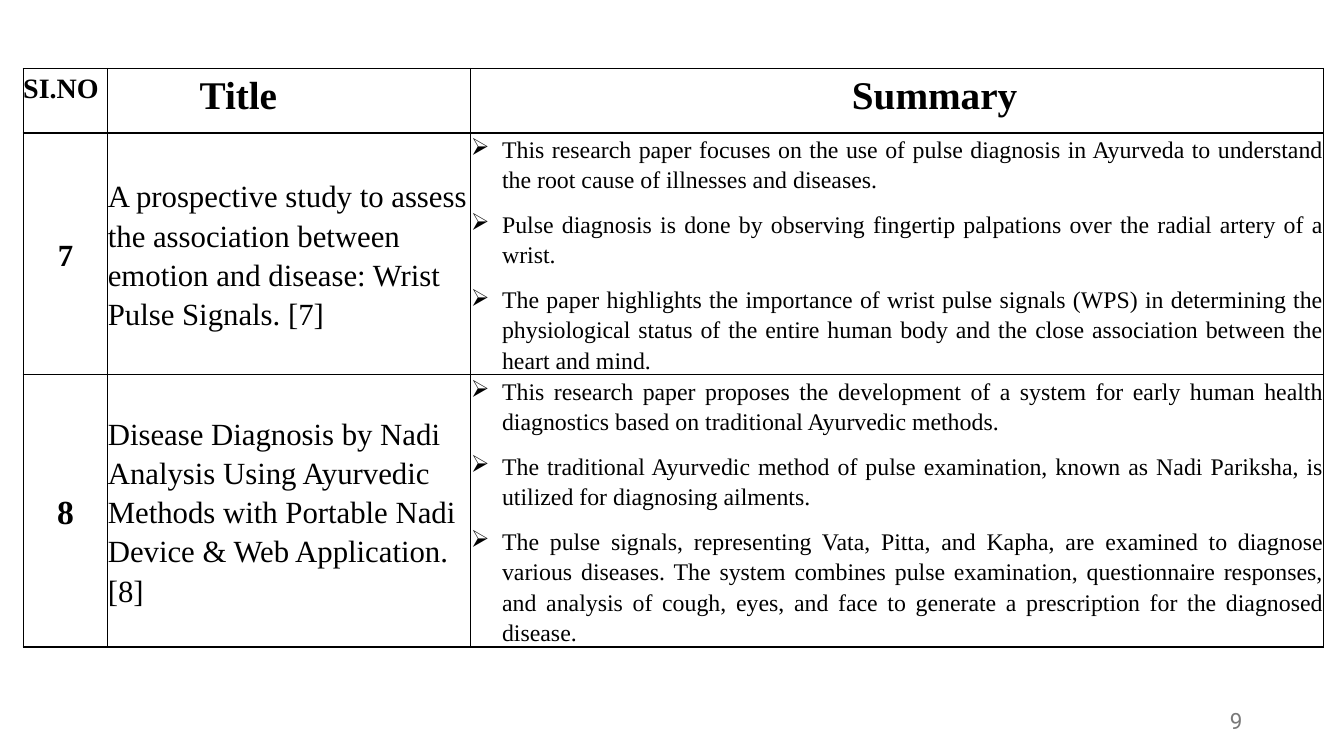
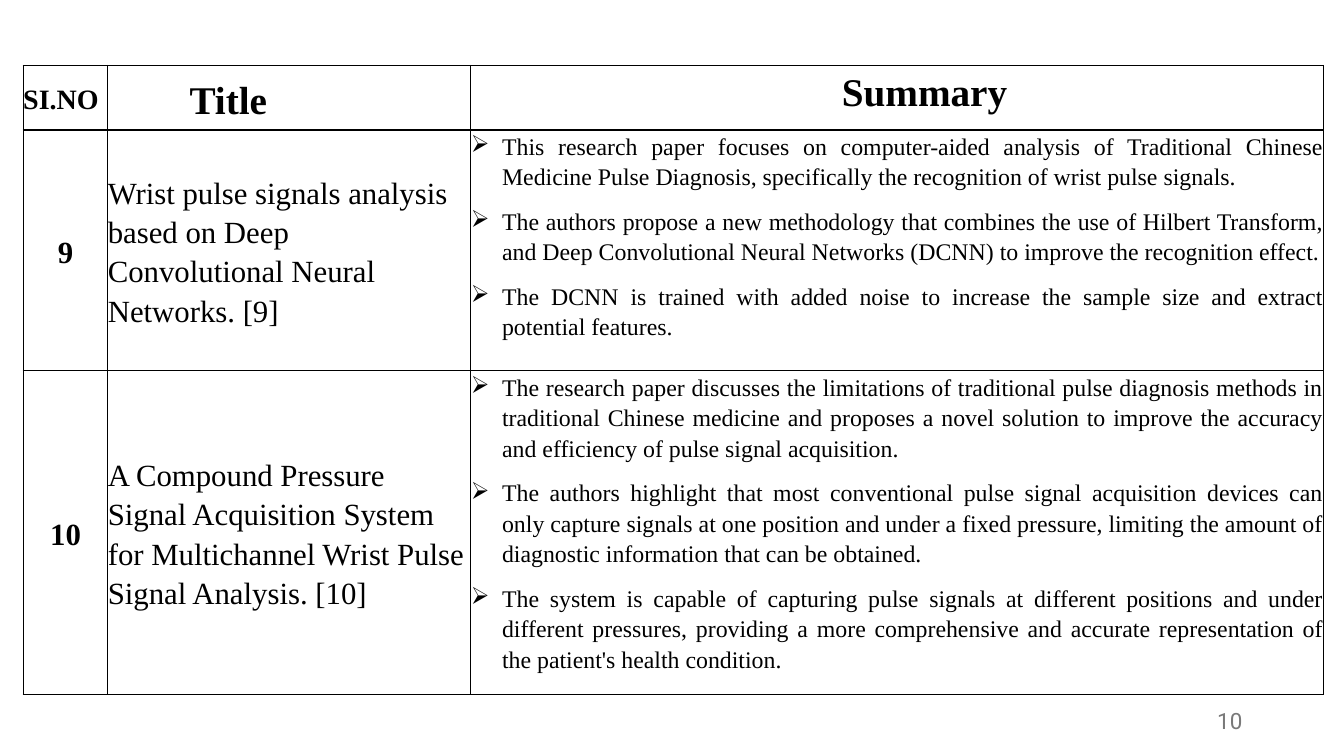
from lxml import etree
from pptx import Presentation
from pptx.dml.color import RGBColor
from pptx.enum.text import MSO_ANCHOR as ANCHOR, PP_ALIGN as ALIGN
from pptx.oxml.ns import qn
from pptx.util import Inches, Pt

# Shared style
FONT, NUMBER_FONT = "Times New Roman", "Roboto"
BLACK, WHITE, GREY = "000000", "FFFFFF", "797979"
TABLE_LEFT = 0.23
COL_WIDTHS = [0.84, 3.6, 8.46]
HEADINGS = [("SI.NO", 20), ("Title", 28), ("Summary", 28)]
BULLET_INDENT = 0.31

# Content: one entry a slide; each paper is number, number size, title, summary
SLIDES = [
    {
        "page": "9", "top": 0.68, "row_heights": [0.64, 2.39, 2.68],
        "heading_indents": [0, 0.91, 3.78],
        "heading_anchors": [ANCHOR.TOP, ANCHOR.TOP, ANCHOR.TOP],
        "papers": [
            ("7", 22,
             "A prospective study to assess the association between emotion "
             "and disease: Wrist Pulse Signals. [7]",
             ["This research paper focuses on the use of pulse diagnosis in Ayurveda to "
              "understand the root cause of illnesses and diseases.",
              "Pulse diagnosis is done by observing fingertip palpations over the radial "
              "artery of a wrist.",
              "The paper highlights the importance of wrist pulse signals (WPS) in "
              "determining the physiological status of the entire human body and the "
              "close association between the heart and mind."]),
            ("8", 24,
             "Disease Diagnosis by Nadi Analysis Using Ayurvedic Methods with "
             "Portable Nadi Device & Web Application. [8]",
             ["This research paper proposes the development of a system for early human "
              "health diagnostics based on traditional Ayurvedic methods.",
              "The traditional Ayurvedic method of pulse examination, known as Nadi "
              "Pariksha, is utilized for diagnosing ailments.",
              "The pulse signals, representing Vata, Pitta, and Kapha, are examined to "
              "diagnose various diseases. The system combines pulse examination, "
              "questionnaire responses, and analysis of cough, eyes, and face to generate "
              "a prescription for the diagnosed disease."]),
        ],
    },
    {
        "page": "10", "top": 0.65, "row_heights": [0.64, 2.39, 2.98],
        "heading_indents": [0, 0.81, 3.68],
        "heading_anchors": [ANCHOR.MIDDLE, ANCHOR.MIDDLE, ANCHOR.TOP],
        "papers": [
            ("9", 22,
             "Wrist pulse signals analysis based on Deep Convolutional Neural "
             "Networks. [9]",
             ["This research paper focuses on computer-aided analysis of Traditional "
              "Chinese Medicine Pulse Diagnosis, specifically the recognition of wrist "
              "pulse signals.",
              "The authors propose a new methodology that combines the use of Hilbert "
              "Transform, and Deep Convolutional Neural Networks (DCNN) to improve the "
              "recognition effect.",
              "The DCNN is trained with added noise to increase the sample size and "
              "extract potential features."]),
            ("10", 22,
             "A Compound Pressure Signal Acquisition System for Multichannel Wrist "
             "Pulse Signal Analysis. [10]",
             ["The research paper discusses the limitations of traditional pulse diagnosis "
              "methods in traditional Chinese medicine and proposes a novel solution to "
              "improve the accuracy and efficiency of pulse signal acquisition.",
              "The authors highlight that most conventional pulse signal acquisition "
              "devices can only capture signals at one position and under a fixed "
              "pressure, limiting the amount of diagnostic information that can be "
              "obtained.",
              "The system is capable of capturing pulse signals at different positions "
              "and under different pressures, providing a more comprehensive and accurate "
              "representation of the patient's health condition."]),
        ],
    },
]


def rgb(value):
    return RGBColor.from_string(value)


def style_run(p, size, color=BLACK, font=FONT, bold=False):
    f = p.runs[0].font
    f.size, f.name, f.bold = Pt(size), font, bold
    f.color.rgb = rgb(color)


def add_bullet(p):
    pPr = p._p.get_or_add_pPr()
    pPr.set("marL", str(Inches(BULLET_INDENT)))
    pPr.set("indent", str(-Inches(BULLET_INDENT)))
    etree.SubElement(pPr, qn("a:buChar"), char="➢")


def add_borders(cell):
    tcPr = cell._tc.get_or_add_tcPr()
    for side in ("lnL", "lnR", "lnT", "lnB"):
        ln = etree.SubElement(tcPr, qn(f"a:{side}"), w=str(Pt(1)))
        fill = etree.SubElement(ln, qn("a:solidFill"))
        etree.SubElement(fill, qn("a:srgbClr"), val=BLACK)


def fill_cell(cell, lines, size, align, anchor=ANCHOR.MIDDLE, bold=False,
              indent=0, bullets=False):
    add_borders(cell)
    cell.fill.solid()
    cell.fill.fore_color.rgb = rgb(WHITE)
    cell.margin_left = Inches(indent)
    cell.margin_top = cell.margin_right = cell.margin_bottom = 0
    cell.vertical_anchor = anchor
    tf = cell.text_frame
    tf.text = "\n".join(lines)
    for p in tf.paragraphs:
        p.alignment, p.line_spacing, p.space_after = align, 1.15, Pt(10)
        if bullets:
            add_bullet(p)
        style_run(p, size, bold=bold)


def add_paper_table(slide, content):
    heights = content["row_heights"]
    table = slide.shapes.add_table(
        len(heights), len(COL_WIDTHS), Inches(TABLE_LEFT), Inches(content["top"]),
        Inches(sum(COL_WIDTHS)), Inches(sum(heights))).table
    table.first_row = table.horz_banding = False
    for column, width in zip(table.columns, COL_WIDTHS):
        column.width = Inches(width)
    for row, height in zip(table.rows, heights):
        row.height = Inches(height)

    # Heading row
    headings = zip(HEADINGS, content["heading_indents"], content["heading_anchors"])
    for col, ((text, size), indent, anchor) in enumerate(headings):
        fill_cell(table.cell(0, col), [text], size, ALIGN.LEFT, anchor,
                  bold=True, indent=indent)

    # One row a paper
    for row, (number, size, title, summary) in enumerate(content["papers"], 1):
        fill_cell(table.cell(row, 0), [number], size, ALIGN.CENTER, bold=True)
        fill_cell(table.cell(row, 1), [title], 22, ALIGN.LEFT)
        fill_cell(table.cell(row, 2), summary, 17, ALIGN.JUSTIFY, ANCHOR.TOP,
                  bullets=True)


def add_page_number(slide, number):
    box = slide.shapes.add_textbox(Inches(9.42), Inches(6.95), Inches(3), Inches(0.4))
    tf = box.text_frame
    tf.word_wrap = True
    tf.vertical_anchor = ANCHOR.MIDDLE
    tf.text = number
    p = tf.paragraphs[0]
    p.alignment = ALIGN.RIGHT
    style_run(p, 16, GREY, NUMBER_FONT)


def main():
    prs = Presentation()
    prs.slide_width, prs.slide_height = Inches(13.33), Inches(7.5)
    for content in SLIDES:
        slide = prs.slides.add_slide(prs.slide_layouts[6])
        add_paper_table(slide, content)
        add_page_number(slide, content["page"])
    prs.save("out.pptx")


if __name__ == "__main__":
    main()
